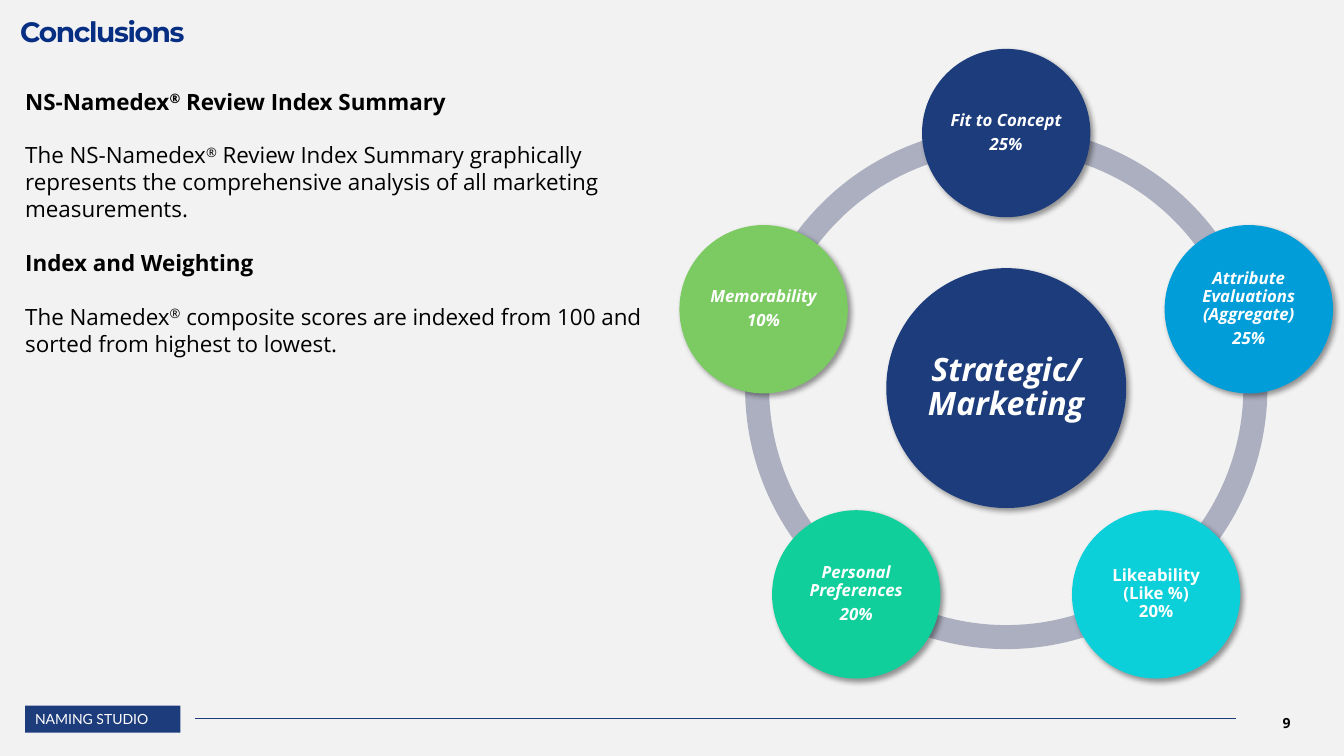
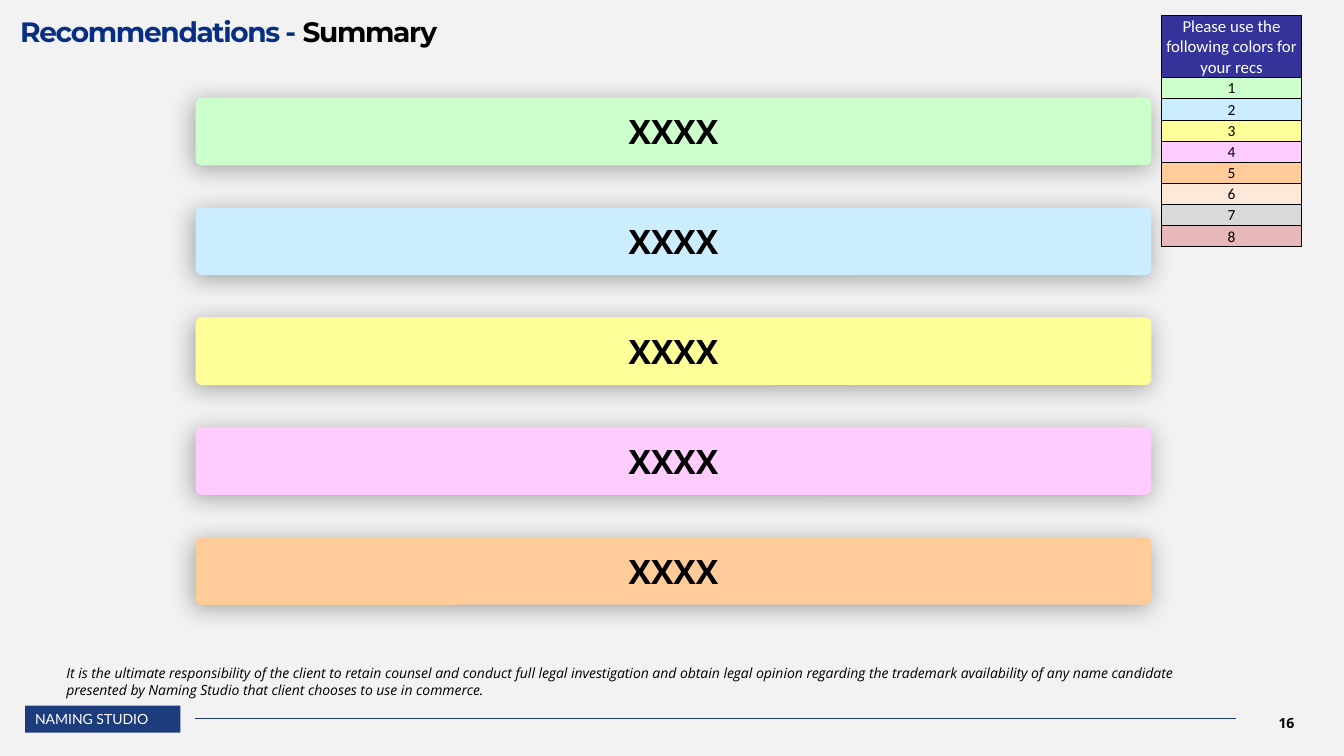
import dataclasses
import math

import lxml.etree
import pptx
import pptx.dml.color
import pptx.enum.shapes
import pptx.enum.text
import pptx.oxml.ns
import pptx.util

Inches = pptx.util.Inches
Pt = pptx.util.Pt
qn = pptx.oxml.ns.qn
MSO_SHAPE = pptx.enum.shapes.MSO_SHAPE
ANCHOR = pptx.enum.text.MSO_ANCHOR
ALIGN = pptx.enum.text.PP_ALIGN


@dataclasses.dataclass(frozen=True)
class Theme:
    background: str = "F2F2F2"
    navy: str = "1D3C7C"
    title: str = "062E83"
    black: str = "000000"
    white: str = "FFFFFF"
    ring: str = "ACAFBF"
    table_head: str = "333399"
    heading_font: str = "Montserrat"
    body_font: str = "Open Sans"
    tag_font: str = "Lato"
    table_font: str = "Calibri"
    title_size: float = 20
    body_size: float = 16
    hub_size: float = 23
    bar_size: float = 24
    node_size: float = 12
    table_head_size: float = 12
    table_size: float = 11
    small_size: float = 10


THEME = Theme()
COMPANY = "Naming Studio"
REC_COLORS = ["CCFFCC", "CCECFF", "FFFF99", "FFCCFF", "FFCC99", "FDE9D9", "D9D9D9", "E6B8B7"]


def rgb(color):
    return pptx.dml.color.RGBColor.from_string(color)


def add_text(p, text, *, size, font=THEME.body_font, color=THEME.black, bold=False,
             italic=False, spacing=None, baseline=None):
    for i, line in enumerate(text.split("\n")):
        if i:
            p.add_line_break()
        r = p.add_run()
        r.text = line
        r.font.name = font
        r.font.size = Pt(size)
        r.font.bold = bold
        r.font.italic = italic
        r.font.color.rgb = rgb(color)
        for name, value in (("spc", spacing), ("baseline", baseline)):
            if value is not None:
                r._r.get_or_add_rPr().set(name, str(value))


def set_frame(sp, anchor=ANCHOR.TOP, insets=(0.1, 0.05, 0.1, 0.05)):
    tf = sp.text_frame
    tf.word_wrap = True
    tf.auto_size = pptx.enum.text.MSO_AUTO_SIZE.NONE
    tf.vertical_anchor = anchor
    tf.margin_left, tf.margin_top, tf.margin_right, tf.margin_bottom = map(Inches, insets)
    return tf


def place(sp, *box):
    sp.left, sp.top, sp.width, sp.height = map(Inches, box)


def add_box(slide, box, text, align=ALIGN.LEFT, anchor=ANCHOR.TOP, **fmt):
    tf = set_frame(slide.shapes.add_textbox(*map(Inches, box)), anchor)
    p = tf.paragraphs[0]
    p.alignment = align
    add_text(p, text, **fmt)


def add_filled(slide, kind, box, color, shadow=None):
    sp = slide.shapes.add_shape(kind, *map(Inches, box))
    sp.shadow.inherit = False
    sp.fill.solid()
    sp.fill.fore_color.rgb = rgb(color)
    sp.line.fill.background()
    if shadow:
        add_shadow(sp, **shadow)
    return sp


def add_shadow(sp, alpha, blur, distance, angle):
    effects = sp._element.spPr.find(qn("a:effectLst"))
    outer = lxml.etree.SubElement(
        effects, qn("a:outerShdw"), blurRad=str(Pt(blur)), dist=str(Pt(distance)),
        dir=str(angle * 60000), algn="ctr", rotWithShape="0")
    color = lxml.etree.SubElement(outer, qn("a:srgbClr"), val=THEME.black)
    lxml.etree.SubElement(color, qn("a:alpha"), val=str(alpha * 1000))


def add_footer(slide, number):
    tag = add_filled(slide, MSO_SHAPE.RECTANGLE, (0.25, 7, 1.54, 0.27), THEME.navy)
    p = set_frame(tag, ANCHOR.MIDDLE, (0.1, 0, 0, 0)).paragraphs[0]
    p.alignment = ALIGN.LEFT
    add_text(p, COMPANY.upper(), size=THEME.small_size, font=THEME.tag_font, color=THEME.white)
    rule = slide.shapes.add_connector(
        pptx.enum.shapes.MSO_CONNECTOR.STRAIGHT, *map(Inches, (1.93, 7.13, 12.26, 7.13)))
    rule.line.color.rgb = rgb(THEME.navy)
    rule.line.width = Pt(0.5)
    lxml.etree.SubElement(rule._element.spPr, qn("a:effectLst"))
    add_box(slide, (12.21, 6.97, 1.1, 0.4), str(number), ALIGN.CENTER, ANCHOR.MIDDLE,
            size=THEME.small_size, bold=True)


def add_slide(prs, layout, number, title_runs):
    slide = prs.slides.add_slide(prs.slide_layouts.get_by_name(layout))
    add_footer(slide, number)
    title = slide.shapes.title
    place(title, 0.2, 0, 12.82, 0.48)
    p = set_frame(title, insets=(0, 0.21, 0, 0)).paragraphs[0]
    p.alignment = ALIGN.LEFT
    p.line_spacing = 0.8
    for text, color in title_runs:
        add_text(p, text, size=THEME.title_size, font=THEME.heading_font, color=color,
                 bold=True, spacing=-100)
    return slide


def fill_body(body, paragraphs):
    place(body, 0.25, 0.82, 6.42, 2.93)
    tf = set_frame(body, insets=(0, 0.05, 0.1, 0.05))
    for i, (text, bold) in enumerate(paragraphs):
        p = tf.add_paragraph() if i else tf.paragraphs[0]
        pPr = p._p.get_or_add_pPr()
        pPr.set("marL", "0")
        pPr.set("indent", "0")
        lxml.etree.SubElement(pPr, qn("a:buNone"))
        p.alignment = ALIGN.LEFT
        p.space_before = Pt(19.3 if i else 0)
        before, mark, after = text.partition("®")
        for piece, baseline in ((before, None), (mark, 30000), (after, None)):
            if piece:
                add_text(p, piece, size=THEME.body_size, bold=bold, baseline=baseline)


def add_circle(slide, cx, cy, diameter, color, lines, size, italic=True, inset=0.02):
    box = (cx - diameter / 2, cy - diameter / 2, diameter, diameter)
    sp = add_filled(slide, MSO_SHAPE.OVAL, box, color,
                    dict(alpha=40, blur=4, distance=3, angle=45))
    tf = set_frame(sp, ANCHOR.MIDDLE, (inset,) * 4)
    for i, line in enumerate(lines):
        p = tf.add_paragraph() if i else tf.paragraphs[0]
        p.alignment = ALIGN.CENTER
        p.line_spacing = 0.9
        p.space_before = Pt(0.35 * size if i else 0)
        add_text(p, line, size=size, color=THEME.white, bold=True, italic=italic)


def add_wheel(slide, hub, nodes):
    cx, cy, radius, ring = 9.98, 3.85, 2.53, 5.18
    step = 360 / len(nodes)
    angles = [270 + i * step for i in range(len(nodes))]
    for angle in angles:
        arc = add_filled(slide, MSO_SHAPE.BLOCK_ARC,
                         (cx - ring / 2, cy - ring / 2, ring, ring), THEME.ring)
        arc.adjustments[0] = angle % 360 * 0.6
        arc.adjustments[1] = (angle + step) % 360 * 0.6
        arc.adjustments[2] = 0.046
    add_circle(slide, cx, cy, 2.38, THEME.navy, [hub], THEME.hub_size, inset=0.03)
    for angle, (color, lines, italic) in zip(angles, nodes):
        turn = math.radians(angle)
        add_circle(slide, cx + radius * math.cos(turn), cy + radius * math.sin(turn), 1.67,
                   color, lines, THEME.node_size, italic)


def add_bars(slide, text, colors):
    for i, color in enumerate(colors):
        sp = add_filled(slide, MSO_SHAPE.ROUNDED_RECTANGLE, (1.94, 0.97 + i * 1.09, 9.48, 0.67),
                        color, dict(alpha=33, blur=17.2, distance=3, angle=135))
        sp.adjustments[0] = 0.09
        p = set_frame(sp, ANCHOR.MIDDLE).paragraphs[0]
        p.alignment = ALIGN.CENTER
        add_text(p, text, size=THEME.bar_size, bold=True)


def set_borders(cell):
    tcPr = cell._tc.get_or_add_tcPr()
    for i, side in enumerate(("lnL", "lnR", "lnT", "lnB")):
        ln = lxml.etree.Element(qn(f"a:{side}"), w=str(Pt(0.5)))
        fill = lxml.etree.SubElement(ln, qn("a:solidFill"))
        lxml.etree.SubElement(fill, qn("a:srgbClr"), val=THEME.black)
        tcPr.insert(i, ln)


def add_color_key(slide, heading, colors):
    rows = [(heading, THEME.table_head, THEME.white, THEME.table_head_size, 0.62)]
    rows += [(str(i), color, THEME.black, THEME.table_size, 0.21)
             for i, color in enumerate(colors, 1)]
    box = (11.52, 0.15, 1.39, sum(row[-1] for row in rows))
    table = slide.shapes.add_table(len(rows), 1, *map(Inches, box)).table
    table.first_row = table.horz_banding = False
    for i, (text, fill, color, size, height) in enumerate(rows):
        table.rows[i].height = Inches(height)
        cell = table.cell(i, 0)
        cell.fill.solid()
        cell.fill.fore_color.rgb = rgb(fill)
        cell.vertical_anchor = ANCHOR.MIDDLE if i else ANCHOR.BOTTOM
        cell.margin_left = cell.margin_right = cell.margin_top = Inches(0.01)
        cell.margin_bottom = 0
        set_borders(cell)
        p = cell.text_frame.paragraphs[0]
        p.alignment = ALIGN.CENTER
        add_text(p, text, size=size, font=THEME.table_font, color=color)


def build_conclusions(prs):
    slide = add_slide(prs, "Title and Content", 9, [("Conclusions", THEME.title)])
    fill_body(slide.placeholders[1], [
        ("NS-Namedex® Review Index Summary", True),
        ("The NS-Namedex® Review Index Summary graphically represents the comprehensive "
         "analysis of all marketing measurements.", False),
        ("Index and Weighting", True),
        ("The Namedex® composite scores are indexed from 100 and sorted from highest "
         "to lowest.", False),
    ])
    add_wheel(slide, "Strategic/\nMarketing", [
        (THEME.navy, ["Fit to Concept", "25%"], True),
        ("009DD9", ["Attribute Evaluations (Aggregate)", "25%"], True),
        ("0BD0D9", ["Likeability (Like %)\n20%"], False),
        ("10CF9B", ["Personal Preferences", "20%"], True),
        ("7CCA62", ["Memorability", "10%"], True),
    ])


def build_recommendations(prs):
    slide = add_slide(prs, "Title Only", 16,
                      [("Recommendations - ", THEME.title), ("Summary", THEME.black)])
    add_box(slide, (0.56, 6.54, 11.59, 0.44),
            "It is the ultimate responsibility of the client to retain counsel and conduct full "
            "legal investigation and obtain legal opinion regarding the trademark availability "
            f"of any name candidate presented by {COMPANY} that client chooses to use in "
            "commerce.", size=THEME.small_size, italic=True)
    add_bars(slide, "XXXX", REC_COLORS[:5])
    add_color_key(slide, "Please use the following colors for your recs", REC_COLORS)


def main():
    prs = pptx.Presentation()
    prs.slide_width, prs.slide_height = Inches(13.33), Inches(7.5)
    background = prs.slide_master.background.fill
    background.solid()
    background.fore_color.rgb = rgb(THEME.background)
    build_conclusions(prs)
    build_recommendations(prs)
    prs.save("out.pptx")


if __name__ == "__main__":
    main()
